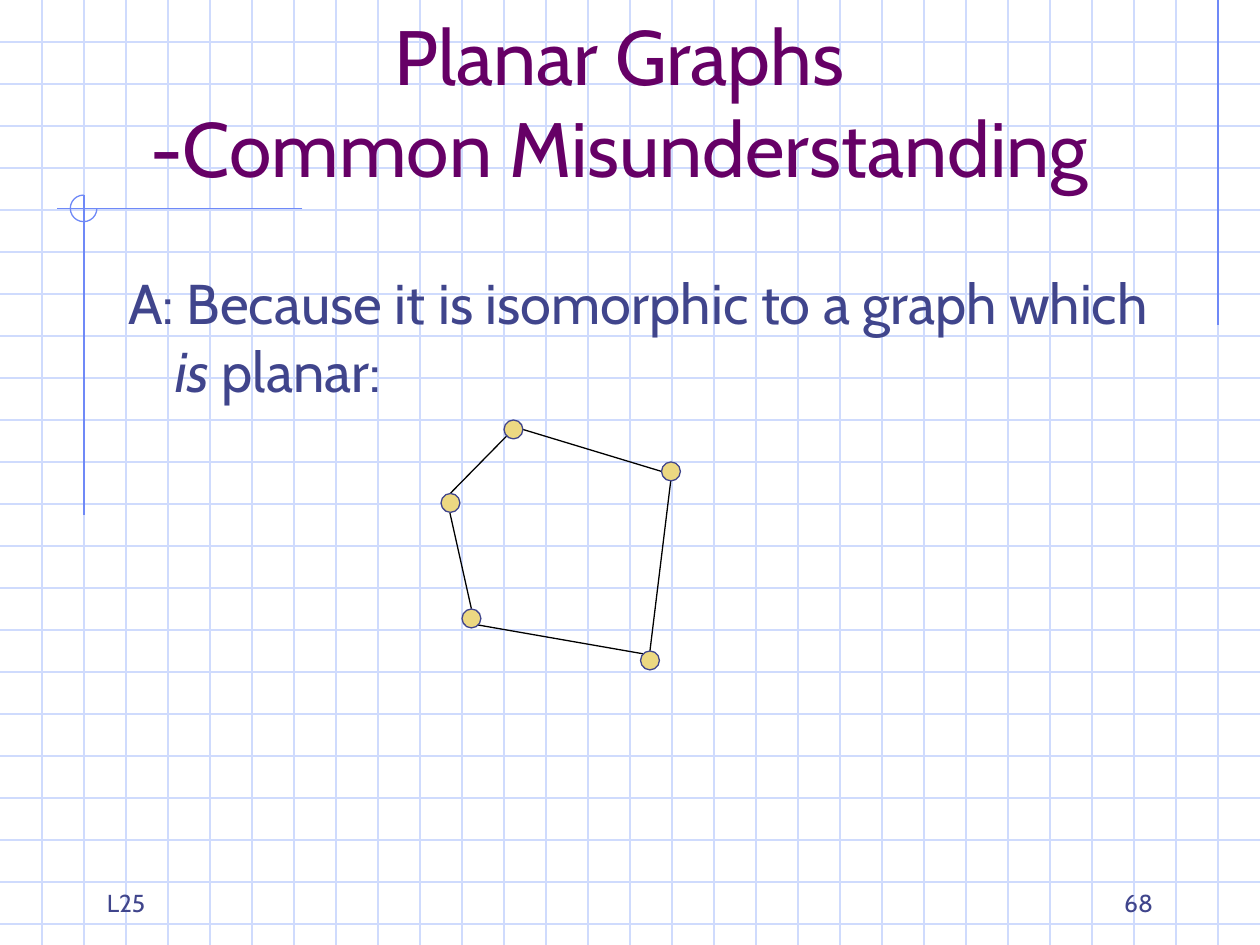
from typing import NamedTuple

import pptx
import pptx.dml.color
import pptx.enum.shapes
import pptx.enum.text
import pptx.oxml
import pptx.oxml.ns
import pptx.util

Pt = pptx.util.Pt
RGBColor = pptx.dml.color.RGBColor
PP_ALIGN = pptx.enum.text.PP_ALIGN
MSO_ANCHOR = pptx.enum.text.MSO_ANCHOR
MSO_SHAPE = pptx.enum.shapes.MSO_SHAPE

PLUM = RGBColor(0x66, 0x00, 0x66)
INDIGO = RGBColor(0x40, 0x45, 0x8C)
GRID_BLUE = RGBColor(0xCF, 0xDB, 0xFD)
ACCENT_BLUE = RGBColor(0x6F, 0x89, 0xF7)
SAND = RGBColor(0xEC, 0xD8, 0x82)
BLACK = RGBColor(0x00, 0x00, 0x00)

FONT = "Cabin"
WIDTH, HEIGHT = 720, 540
GRID_STEP = 24
VERTEX_SIZE = 10.8
LINE_WIDTH = 0.75


class Line(NamedTuple):
    x1: float
    y1: float
    x2: float
    y2: float


class Vertex(NamedTuple):
    left: float
    top: float


class Footer(NamedTuple):
    text: str
    left: float
    align: PP_ALIGN


ACCENTS = [
    Line(696, 0, 696, 186),
    Line(172.8, 119.2, 32.4, 119.2),
    Line(48, 111.6, 48, 294.5),
]
EDGES = [
    Line(269.4, 347.9, 257.1, 293),
    Line(289.5, 249.2, 257.1, 282.2),
    Line(367.4, 373.6, 272.9, 357.1),
    Line(378, 269.4, 298.8, 245.4),
    Line(383.3, 274.8, 371.4, 372),
]
VERTICES = [
    Vertex(264, 348),
    Vertex(252, 282),
    Vertex(288, 240),
    Vertex(366, 372),
    Vertex(378, 264),
]
FOOTERS = [
    Footer("68", 516, PP_ALIGN.RIGHT),
    Footer("L25", 54, PP_ALIGN.LEFT),
]


def draw_line(shapes, line: Line, color: RGBColor) -> None:
    connector = shapes.add_connector(
        pptx.enum.shapes.MSO_CONNECTOR.STRAIGHT, *(Pt(value) for value in line)
    )
    connector.line.color.rgb = color
    connector.line.width = Pt(LINE_WIDTH)
    properties = connector._element.spPr
    properties.append(pptx.oxml.parse_xml(f'<a:effectLst {pptx.oxml.ns.nsdecls("a")}/>'))


def draw_grid(shapes) -> None:
    for y in range(GRID_STEP, HEIGHT, GRID_STEP):
        draw_line(shapes, Line(0, y, WIDTH, y), GRID_BLUE)
    for x in range(GRID_STEP, WIDTH, GRID_STEP):
        draw_line(shapes, Line(x, 0, x, HEIGHT), GRID_BLUE)


def draw_corner_arc(shapes) -> None:
    """Draw the three-quarter circle where two accent lines cross."""
    arc = shapes.add_shape(MSO_SHAPE.ARC, Pt(40.2), Pt(111.5), Pt(15.2), Pt(15.2))
    arc.adjustments[0] = 0
    arc.adjustments[1] = 162
    arc.shadow.inherit = False
    arc.fill.background()
    arc.line.color.rgb = ACCENT_BLUE
    arc.line.width = Pt(LINE_WIDTH)


def draw_vertex(shapes, vertex: Vertex) -> None:
    dot = shapes.add_shape(
        MSO_SHAPE.OVAL, Pt(vertex.left), Pt(vertex.top), Pt(VERTEX_SIZE), Pt(VERTEX_SIZE)
    )
    dot.shadow.inherit = False
    dot.fill.solid()
    dot.fill.fore_color.rgb = SAND
    dot.line.color.rgb = INDIGO
    dot.line.width = Pt(LINE_WIDTH)


def place(shape, left: float, top: float, width: float, height: float, anchor: MSO_ANCHOR):
    """Position a text shape and return its only paragraph."""
    shape.left, shape.top = Pt(left), Pt(top)
    shape.width, shape.height = Pt(width), Pt(height)
    frame = shape.text_frame
    frame.word_wrap = True
    frame.auto_size = pptx.enum.text.MSO_AUTO_SIZE.NONE
    frame.vertical_anchor = anchor
    return frame.paragraphs[0]


def set_font(paragraph, size: float, color: RGBColor) -> None:
    paragraph.font.name = FONT
    paragraph.font.size = Pt(size)
    paragraph.font.color.rgb = color


def write_title(title) -> None:
    heading = place(title, 48, 24, 612, 90, MSO_ANCHOR.BOTTOM)
    heading.text = "Planar Graphs\v-Common Misunderstanding"
    heading.alignment = PP_ALIGN.CENTER
    set_font(heading, 44, PLUM)


def write_answer(body) -> None:
    answer = place(body, 66, 150, 612, 324, MSO_ANCHOR.TOP)
    answer.space_before = Pt(0)
    properties = answer._p.get_or_add_pPr()
    properties.set("marL", str(Pt(27)))
    properties.set("indent", str(Pt(-27)))
    properties.append(pptx.oxml.parse_xml(f'<a:buNone {pptx.oxml.ns.nsdecls("a")}/>'))
    set_font(answer, 32, INDIGO)
    answer.add_run().text = "A: Because it is isomorphic to a graph which "
    emphasis = answer.add_run()
    emphasis.text = "is"
    emphasis.font.italic = True
    answer.add_run().text = " planar:"


def write_footer(shapes, footer: Footer) -> None:
    box = shapes.add_textbox(0, 0, 0, 0)
    label = place(box, footer.left, 492, 150, 36, MSO_ANCHOR.BOTTOM)
    label.text = footer.text
    label.alignment = footer.align
    set_font(label, 14, INDIGO)


def main() -> None:
    deck = pptx.Presentation()
    deck.slide_width, deck.slide_height = Pt(WIDTH), Pt(HEIGHT)
    slide = deck.slides.add_slide(deck.slide_layouts[1])
    shapes = slide.shapes
    title, body = slide.placeholders

    draw_grid(shapes)
    for accent in ACCENTS:
        draw_line(shapes, accent, ACCENT_BLUE)
    draw_corner_arc(shapes)

    for placeholder in (title, body):
        shapes._spTree.append(placeholder._element)  # bring in front of the grid
    write_title(title)
    write_answer(body)

    for edge in EDGES:
        draw_line(shapes, edge, BLACK)
    for vertex in VERTICES:
        draw_vertex(shapes, vertex)
    for footer in FOOTERS:
        write_footer(shapes, footer)
    deck.save("out.pptx")


if __name__ == "__main__":
    main()
